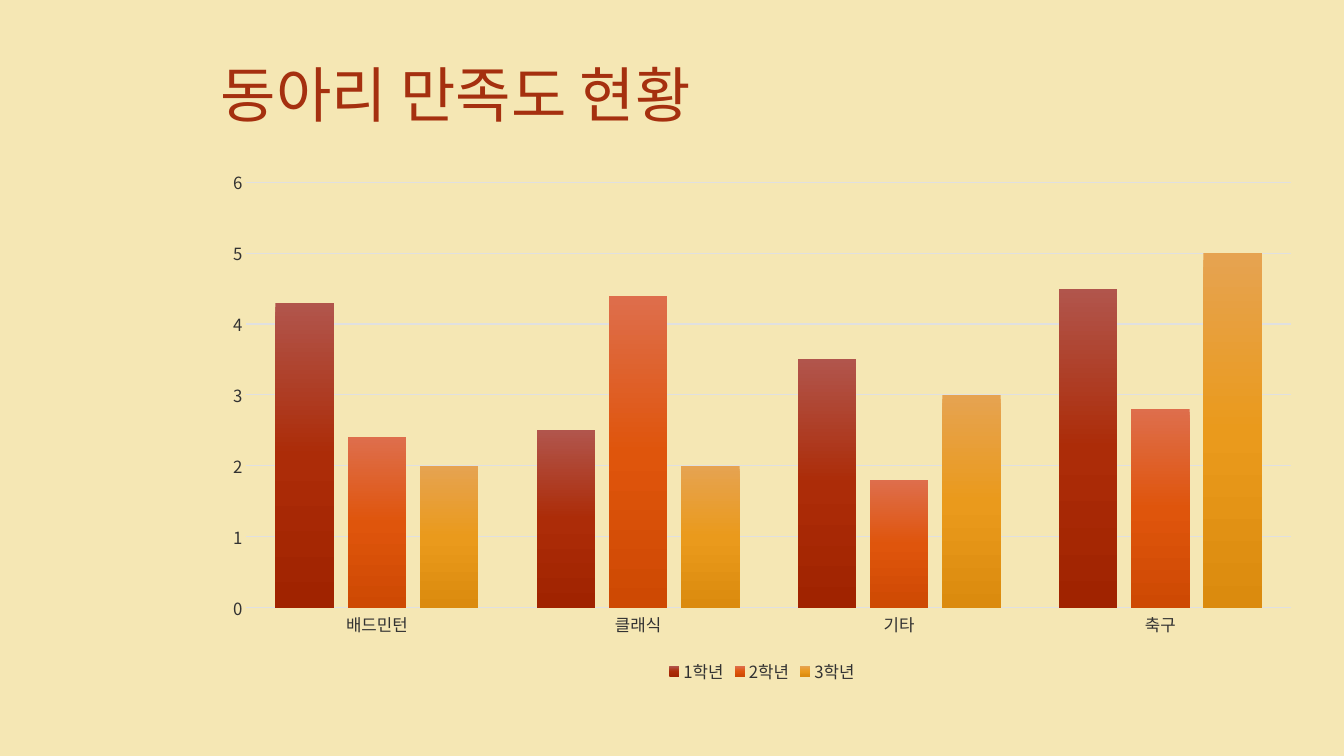
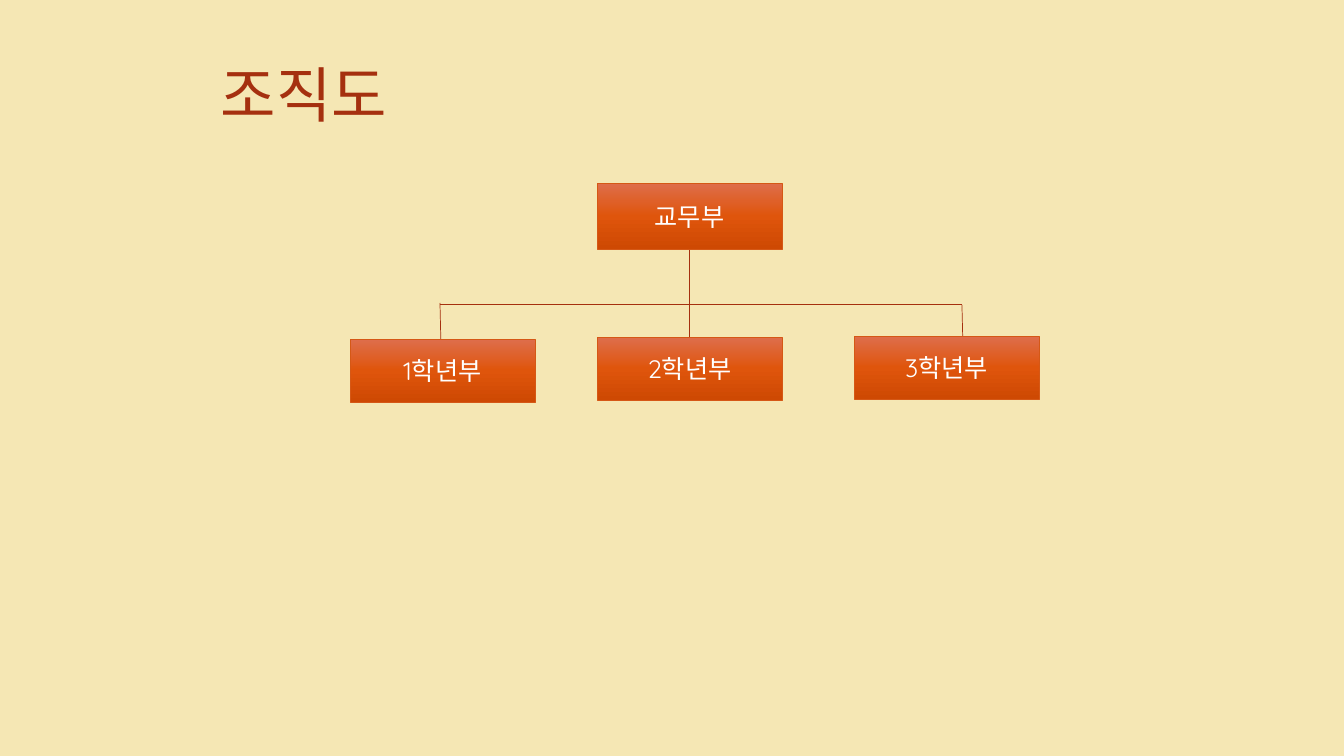
from collections import namedtuple
from copy import deepcopy

from lxml.etree import SubElement
from pptx import Presentation
from pptx.chart.data import CategoryChartData
from pptx.dml.color import RGBColor
from pptx.enum.chart import XL_CHART_TYPE as ChartType
from pptx.enum.chart import XL_LEGEND_POSITION as LegendPosition
from pptx.enum.chart import XL_TICK_MARK as TickMark
from pptx.enum.shapes import MSO_CONNECTOR as Connector
from pptx.enum.shapes import MSO_SHAPE as Shape
from pptx.enum.text import MSO_ANCHOR as Anchor
from pptx.enum.text import PP_ALIGN as Align
from pptx.oxml.ns import qn
from pptx.util import Emu, Pt

Theme = namedtuple("Theme", "background title label grid box_text box_edge gradients "
                   "korean latin title_size label_size box_size")
theme = Theme(
    background=RGBColor.from_string("F5E7B4"),
    title=RGBColor.from_string("A5300F"),
    label=RGBColor.from_string("323232"),
    grid=RGBColor.from_string("E0E0E0"),
    box_text=RGBColor.from_string("FFFFFF"),
    box_edge=RGBColor.from_string("D55816"),
    gradients={
        "red": ("B1554C", "AC2C08", "A02300"),
        "orange": ("DE6E4C", "DF550C", "CE4903"),
        "amber": ("E6A351", "EA9A1C", "DB8B0E"),
    },
    korean="Noto Sans CJK KR",
    latin="Quicksand",
    title_size=Pt(43),
    label_size=Pt(12),
    box_size=Pt(18),
)
PX = 12192000 / 1344


def write_text(shape, text, size, color, font, align=Align.LEFT):
    frame = shape.text_frame
    frame.word_wrap = True
    frame.vertical_anchor = Anchor.MIDDLE
    paragraph = frame.paragraphs[0]
    paragraph.alignment = align
    run = paragraph.add_run()
    run.text = text
    run.font.size = size
    run.font.color.rgb = color
    run.font.name = font
    SubElement(run.font._element, qn("a:ea"), typeface=theme.korean)


def paint_gradient(fill, properties, colors):
    fill.gradient()
    fill.gradient_angle = 270
    stop_list = properties.find(".//" + qn("a:gsLst"))
    stop_list.insert(1, deepcopy(stop_list[0]))
    for stop, position, color in zip(fill.gradient_stops, (0, 0.5, 1), colors):
        stop.position = position
        stop.color.rgb = RGBColor.from_string(color)


presentation = Presentation()
presentation.slide_width = Emu(round(1344 * PX))
presentation.slide_height = Emu(round(756 * PX))

# Shared background and titles
background = presentation.slide_master.background.fill
background.solid()
background.fore_color.rgb = theme.background

slides = []
for title in ("동아리 만족도 현황", "조직도"):
    slide = presentation.slides.add_slide(presentation.slide_layouts[6])
    title_box = slide.shapes.add_textbox(*(Emu(round(v * PX)) for v in (211, 30, 1102, 126)))
    write_text(title_box, title, size=theme.title_size, color=theme.title, font=theme.korean)
    slides.append(slide)
chart_slide, organization_slide = slides

# Satisfaction chart
chart_data = CategoryChartData()
chart_data.categories = ["배드민턴", "클래식", "기타", "축구"]
chart_data.add_series("1학년", (4.3, 2.5, 3.5, 4.5))
chart_data.add_series("2학년", (2.4, 4.4, 1.8, 2.8))
chart_data.add_series("3학년", (2, 2, 3, 5))
chart = chart_slide.shapes.add_chart(
    ChartType.COLUMN_CLUSTERED,
    *(Emu(round(v * PX)) for v in (211, 159, 1102, 529)), chart_data).chart
chart.has_title = False
chart.font.size = theme.label_size
chart.font.color.rgb = theme.label
chart.font.name = theme.korean
SubElement(chart.font._element, qn("a:ea"), typeface=theme.korean)
chart.has_legend = True
chart.legend.position = LegendPosition.BOTTOM
chart.legend.include_in_layout = False

plot = chart.plots[0]
plot.gap_width = 100
plot.overlap = -24
plot.vary_by_categories = False
for series, colors in zip(plot.series, theme.gradients.values()):
    series.invert_if_negative = False
    paint_gradient(series.format.fill, series._element, colors)

# Chart axes
value_axis, category_axis = chart.value_axis, chart.category_axis
for axis in (value_axis, category_axis):
    axis.major_tick_mark = axis.minor_tick_mark = TickMark.NONE
value_axis.minimum_scale, value_axis.maximum_scale, value_axis.major_unit = 0, 6, 1
value_axis.format.line.fill.background()
value_axis.has_major_gridlines = True
for line in (value_axis.major_gridlines.format.line, category_axis.format.line):
    line.color.rgb = theme.grid
    line.width = Pt(0.75)

# Organization lines
for ends in ((440, 304, 962, 304), (689, 248, 689, 338),
             (962, 305, 963, 348), (440, 303, 441, 346)):
    connector = organization_slide.shapes.add_connector(
        Connector.STRAIGHT, *(Emu(round(v * PX)) for v in ends))
    connector.line.color.rgb = theme.title
    connector.line.width = Pt(0.5)
    SubElement(connector._element.spPr, qn("a:effectLst"))

# Organization boxes
for name, left, top, height in (("교무부", 597, 183, 66), ("1학년부", 350, 339, 63),
                                ("2학년부", 597, 337, 63), ("3학년부", 854, 336, 63)):
    box = organization_slide.shapes.add_shape(
        Shape.RECTANGLE, *(Emu(round(v * PX)) for v in (left, top, 185, height)))
    box.shadow.inherit = False
    paint_gradient(box.fill, box._element.spPr, theme.gradients["orange"])
    box.line.color.rgb = theme.box_edge
    box.line.width = Pt(0.5)
    write_text(box, name, size=theme.box_size, color=theme.box_text,
               font=theme.latin, align=Align.CENTER)

presentation.save("out.pptx")
